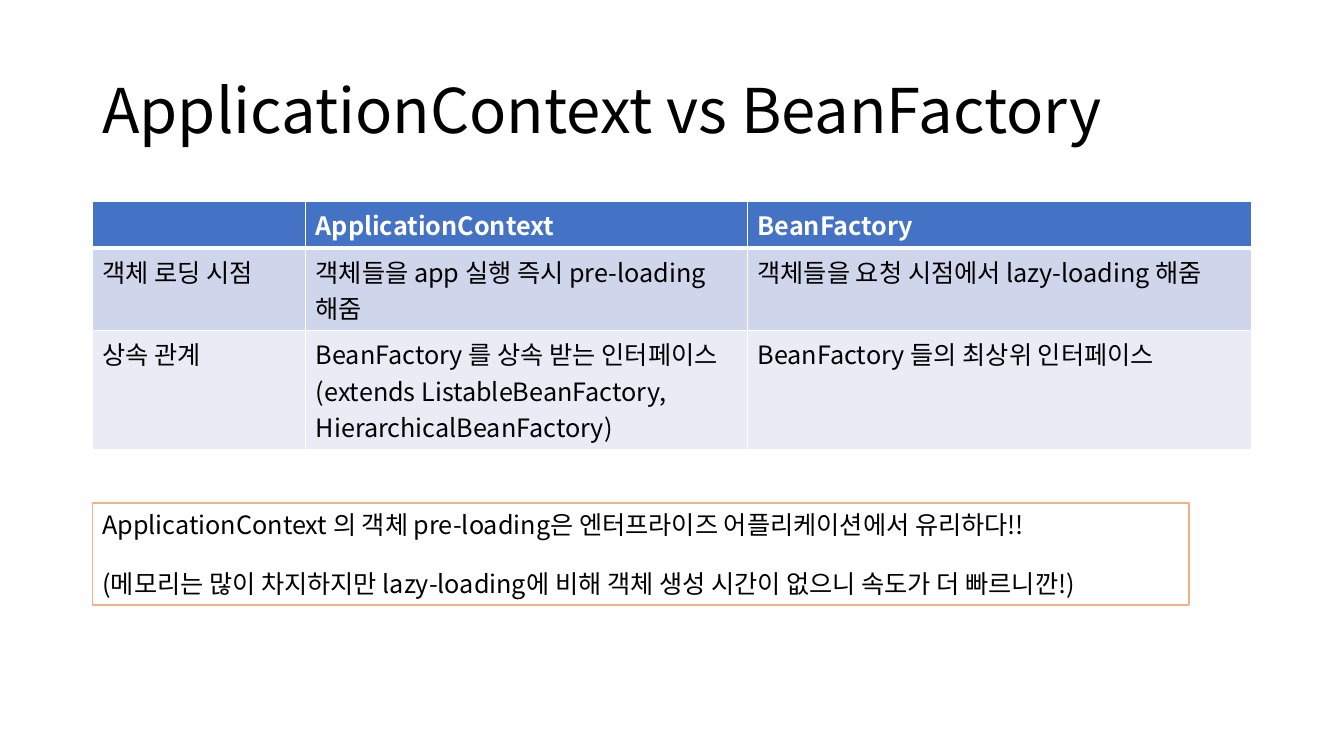
import pptx
import pptx.util
import pptx.dml.color
import pptx.enum.shapes
import pptx.enum.text
import pptx.oxml
import pptx.oxml.ns
import lxml.etree

Pt = pptx.util.Pt
RGBColor = pptx.dml.color.RGBColor
MIDDLE = pptx.enum.text.MSO_ANCHOR.MIDDLE

FONT = "Noto Sans CJK KR"
BLACK = RGBColor(0x00, 0x00, 0x00)
WHITE = RGBColor(0xFF, 0xFF, 0xFF)
HEADER_BLUE = RGBColor(0x44, 0x72, 0xC4)
ROW_FILLS = [HEADER_BLUE, RGBColor(0xCF, 0xD5, 0xEA), RGBColor(0xE9, 0xEB, 0xF5)]
ORANGE = RGBColor(0xF4, 0xB1, 0x83)
LEFT = Pt(66)


def write_text(frame, text, size=18, color=BLACK, bold=False, line_spacing=None, gap=0):
    for index, line in enumerate(text.split("\n")):
        para = frame.paragraphs[0] if index == 0 else frame.add_paragraph()
        para.alignment = pptx.enum.text.PP_ALIGN.LEFT
        para.line_spacing = line_spacing
        para.space_before = Pt(gap if index else 0)
        span = para.add_run()
        span.text = line
        span.font.name = FONT
        span.font.size = Pt(size)
        span.font.bold = bold
        span.font.color.rgb = color
        east_asian = lxml.etree.SubElement(span.font._element, pptx.oxml.ns.qn("a:ea"))
        east_asian.set("typeface", FONT)


def set_borders(cell, widths):
    properties = cell._tc.get_or_add_tcPr()
    for index, (side, width) in enumerate(widths.items()):
        properties.insert(index, pptx.oxml.parse_xml(
            f'<a:ln{side} {pptx.oxml.ns.nsdecls("a")} w="{Pt(width)}">'
            f'<a:solidFill><a:srgbClr val="{WHITE}"/></a:solidFill></a:ln{side}>'))


deck = pptx.Presentation()
deck.slide_width = Pt(960)
deck.slide_height = Pt(540)
page = deck.slides.add_slide(deck.slide_layouts[6])

title = page.shapes.add_textbox(LEFT, Pt(28.75), Pt(828), Pt(104.4))
title.text_frame.word_wrap = True
title.text_frame.vertical_anchor = MIDDLE
write_text(title.text_frame, "ApplicationContext vs BeanFactory", size=44, line_spacing=0.9)

ROWS = [
    ["", "ApplicationContext", "BeanFactory"],
    ["객체 로딩 시점", "객체들을 app 실행 즉시 pre-loading 해줌",
     "객체들을 요청 시점에서 lazy-loading 해줌"],
    ["상속 관계",
     "BeanFactory 를 상속 받는 인터페이스\n(extends ListableBeanFactory, HierarchicalBeanFactory)",
     "BeanFactory 들의 최상위 인터페이스"],
]
ROW_HEIGHTS = [33, 59, 85.5]
table = page.shapes.add_table(3, 3, LEFT, Pt(144), Pt(828), Pt(sum(ROW_HEIGHTS))).table
for column, width in zip(table.columns, [152.4, 315.6, 360]):
    column.width = Pt(width)
for row_index, texts in enumerate(ROWS):
    table.rows[row_index].height = Pt(ROW_HEIGHTS[row_index])
    is_header = row_index == 0
    for column_index, text in enumerate(texts):
        cell = table.cell(row_index, column_index)
        cell.fill.solid()
        cell.fill.fore_color.rgb = ROW_FILLS[row_index]
        set_borders(cell, {"L": 1, "R": 1, "T": 3 if row_index == 1 else 1,
                           "B": 3 if is_header else 1})
        write_text(cell.text_frame, text, color=WHITE if is_header else BLACK, bold=is_header)

box = page.shapes.add_shape(pptx.enum.shapes.MSO_SHAPE.RECTANGLE,
                            LEFT, Pt(359.3), Pt(783.4), Pt(72.7))
box.shadow.inherit = False
box.fill.background()
box.line.color.rgb = ORANGE
box.line.width = Pt(1.25)
box.text_frame.word_wrap = True
box.text_frame.vertical_anchor = MIDDLE
write_text(box.text_frame,
           "ApplicationContext 의 객체 pre-loading은 엔터프라이즈 어플리케이션에서 유리하다!!\n"
           "(메모리는 많이 차지하지만 lazy-loading에 비해 객체 생성 시간이 없으니 속도가 더 빠르니깐!)",
           gap=20)

deck.save("out.pptx")
